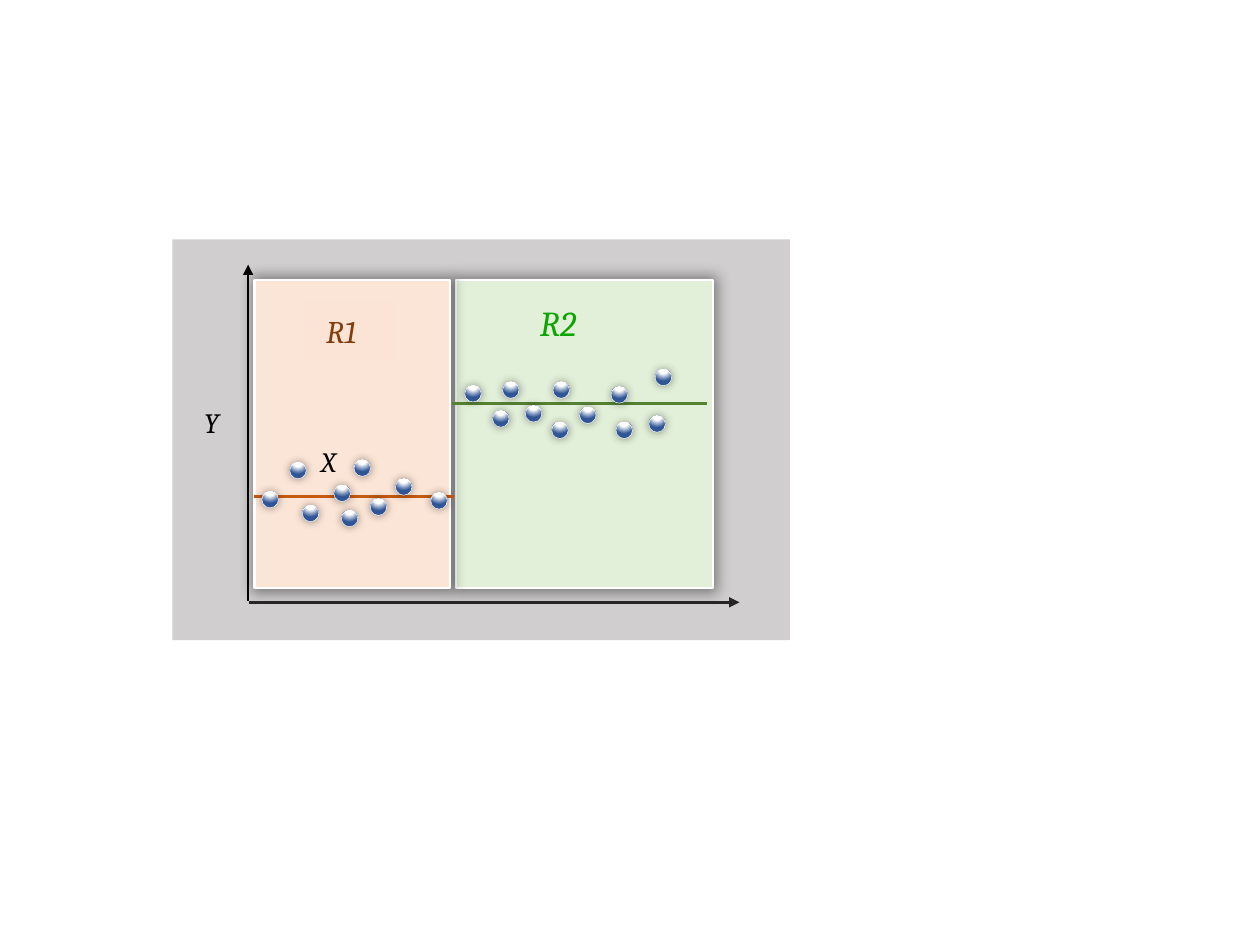
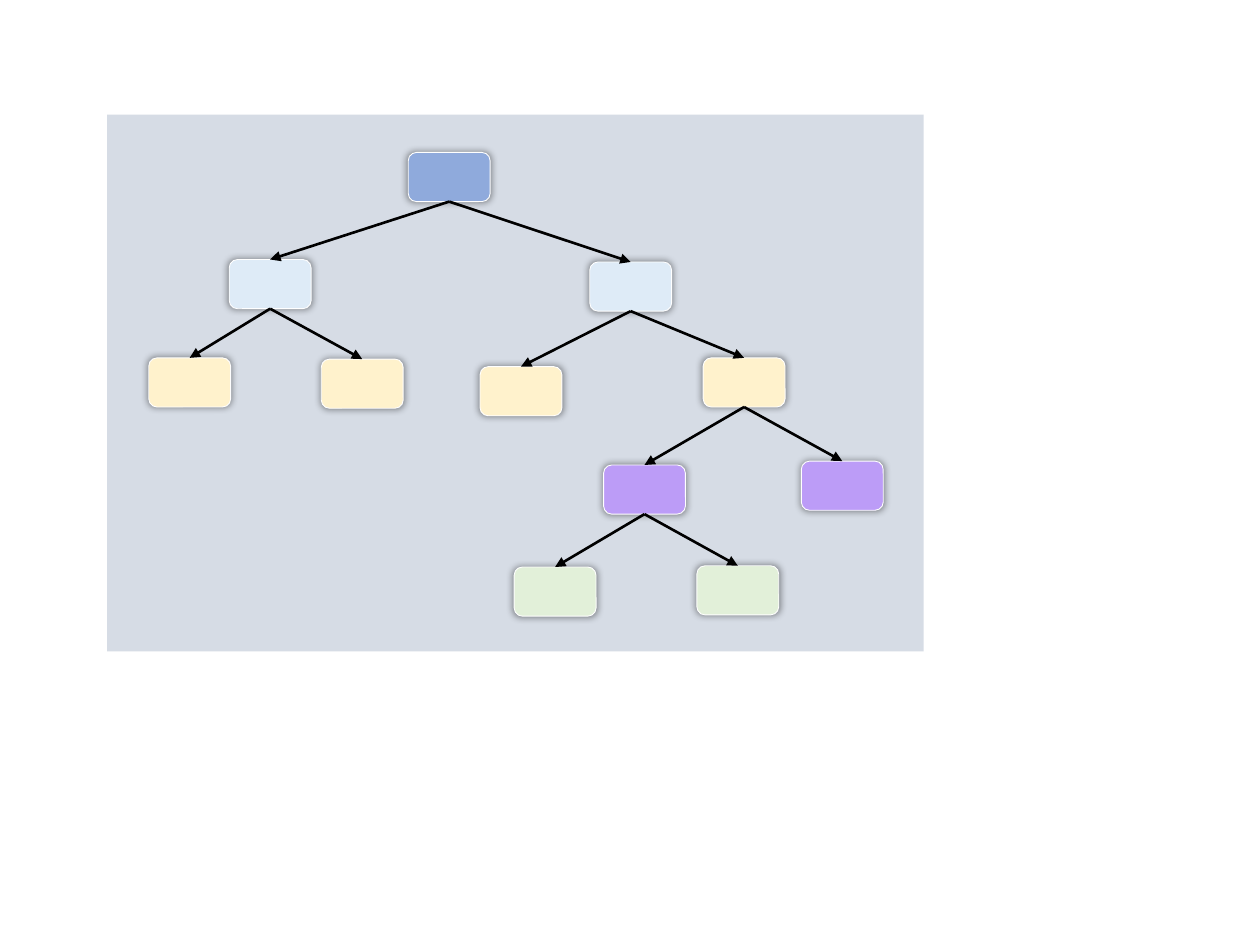
from lxml import etree
from pptx import Presentation
from pptx.dml.color import RGBColor
from pptx.enum import shapes, text
from pptx.util import Pt

WHITE = RGBColor(0xFF, 0xFF, 0xFF)
BLACK = RGBColor(0x00, 0x00, 0x00)
AXIS_GREY = RGBColor(0x26, 0x26, 0x26)
PLOT_GREY = RGBColor(0xD0, 0xCE, 0xCE)
TREE_GREY = RGBColor(0xD6, 0xDC, 0xE5)
R1_FILL = RGBColor(0xFB, 0xE5, 0xD6)
R1_LABEL = RGBColor(0xFB, 0xE4, 0xD5)
R1_LINE = RGBColor(0xC5, 0x5A, 0x11)
R1_TEXT = RGBColor(0x83, 0x3C, 0x0B)
R2_FILL = RGBColor(0xE2, 0xF0, 0xD9)
R2_LABEL = RGBColor(0xE2, 0xEF, 0xD9)
R2_LINE = RGBColor(0x54, 0x82, 0x35)
R2_TEXT = RGBColor(0x0B, 0xA5, 0x00)
DOT_BLUE = RGBColor(0x2F, 0x55, 0x97)
LEVEL_FILLS = [RGBColor(0x8F, 0xAA, 0xDC), RGBColor(0xDE, 0xEB, 0xF7),
               RGBColor(0xFF, 0xF2, 0xCC), RGBColor(0xBC, 0x9C, 0xF7), R2_FILL]

FONT = "Cambria"
NS = "http://schemas.openxmlformats.org/drawingml/2006/main"
RECT = shapes.MSO_SHAPE.RECTANGLE
OVAL = shapes.MSO_SHAPE.OVAL
ROUNDED = shapes.MSO_SHAPE.ROUNDED_RECTANGLE
BOTTOM, TOP = 2, 0

PLOT_BOX = (98.6, 136.8, 352.8, 229)
TREE_BOX = (61.2, 65.5, 466.6, 306.7)

DOT = 9.4
R1_DOTS = [(67, 127.4), (92.2, 140.4), (74.2, 151.9), (147.6, 144.7), (127.4, 136.8),
           (113, 148.3), (51.1, 144), (96.5, 154.8), (103.7, 126)]
R2_DOTS = [(167, 83.5), (201.6, 95), (188.6, 81.4), (182.9, 97.9), (232.6, 95.8),
           (272.2, 100.8), (217.4, 81.4), (253.4, 104.4), (250.6, 84.2),
           (275.8, 74.2), (216.7, 104.4)]

NODE_W, NODE_H = 46.8, 28.1
# node: (parent, level, left, top)
NODES = {
    "root": (None, 0, 172.1, 21.6),
    "left": ("root", 1, 69.8, 82.8),
    "right": ("root", 1, 275.8, 84.2),
    "left.left": ("left", 2, 23.8, 139),
    "left.right": ("left", 2, 122.4, 139.7),
    "right.left": ("right", 2, 213.1, 144),
    "right.right": ("right", 2, 340.6, 139),
    "inner": ("right.right", 3, 283.7, 200.2),
    "outer": ("right.right", 3, 396.7, 198),
    "inner.left": ("inner", 4, 232.6, 258.5),
    "inner.right": ("inner", 4, 337, 257.8),
}


def add_xml(parent, xml):
    parent.append(etree.fromstring(xml))


def add_shadow(sp, blur, scale=100):
    """Soft black glow on every side; blur in points, scale in percent."""
    for old in sp._element.spPr.findall(f"{{{NS}}}effectLst"):
        sp._element.spPr.remove(old)
    add_xml(sp._element.spPr,
            f'<a:effectLst xmlns:a="{NS}"><a:outerShdw blurRad="{Pt(blur)}" '
            f'sx="{scale * 1000}" sy="{scale * 1000}" algn="ctr" rotWithShape="0">'
            '<a:srgbClr val="000000"><a:alpha val="40000"/></a:srgbClr>'
            '</a:outerShdw></a:effectLst>')


def add_box(s, kind, x, y, w, h, fill=None, line=0):
    """Preset shape without shadow; line is the width of a white outline."""
    sp = s.shapes.add_shape(kind, Pt(x), Pt(y), Pt(w), Pt(h))
    sp.shadow.inherit = False
    if fill is not None:
        sp.fill.solid()
        sp.fill.fore_color.rgb = fill
    if line:
        sp.line.color.rgb = WHITE
        sp.line.width = Pt(line)
    else:
        sp.line.fill.background()
    return sp


def add_line(s, x1, y1, x2, y2, color=BLACK, arrow=True):
    c = s.shapes.add_connector(shapes.MSO_CONNECTOR.STRAIGHT,
                               Pt(x1), Pt(y1), Pt(x2), Pt(y2))
    c.line.color.rgb = color
    c.line.width = Pt(1.5)
    if arrow:
        add_xml(c.line._get_or_add_ln(), f'<a:tailEnd xmlns:a="{NS}" type="triangle"/>')
    add_xml(c._element.spPr, f'<a:effectLst xmlns:a="{NS}"/>')
    return c


def write(sp, label, size=16, color=BLACK):
    """Centred italic text, nudged left by the right inset."""
    tf = sp.text_frame
    tf.word_wrap = True
    tf.vertical_anchor = text.MSO_ANCHOR.MIDDLE
    tf.margin_left = tf.margin_top = tf.margin_bottom = 0
    tf.margin_right = Pt(8)
    p = tf.paragraphs[0]
    p.alignment = text.PP_ALIGN.CENTER
    r = p.add_run()
    r.text = label
    r.font.name, r.font.size, r.font.italic = FONT, Pt(size), True
    r.font.color.rgb = color


def add_dot(s, x, y):
    sp = add_box(s, OVAL, x, y, DOT, DOT, line=0.25)
    stops = "".join(f'<a:gs pos="{pos * 1000}"><a:srgbClr val="{color}"/></a:gs>'
                    for pos, color in ((0, WHITE), (38, WHITE), (100, DOT_BLUE)))
    gradient = etree.fromstring(
        f'<a:gradFill xmlns:a="{NS}" rotWithShape="0"><a:gsLst>{stops}</a:gsLst>'
        '<a:path path="circle"><a:fillToRect l="50000" t="-80000" r="50000" b="180000"/>'
        '</a:path></a:gradFill>')
    sp._element.spPr.find(f"{{{NS}}}prstGeom").addnext(gradient)
    add_shadow(sp, 5)


def add_region_plot(s, box):
    """Two regions of scattered points, each with its mean line."""
    left, top, w, h = box
    add_box(s, RECT, left, top, w, h, PLOT_GREY)
    for x, width, fill in ((162, 146.9, R2_FILL), (46.8, 111.6, R1_FILL)):
        region = add_box(s, RECT, left + x, top + 23, width, 176.4, fill, 1.25)
        add_shadow(region, 8, 102)
    for x1, x2, y, color in ((46.8, 160.6, 146.9, R1_LINE), (159.8, 305.3, 93.6, R2_LINE)):
        add_line(s, left + x1, top + y, left + x2, top + y, color, arrow=False)
    add_line(s, left + 43.9, top + 207.4, left + 324, top + 207.4, AXIS_GREY)
    add_line(s, left + 43.2, top + 206.6, left + 43.2, top + 14.4)
    for x, y in R1_DOTS + R2_DOTS:
        add_dot(s, left + x, top + y)
    for label, x, y, fill, size, color in (("R1", 74.9, 36, R1_LABEL, 18, R1_TEXT),
                                           ("R2", 198.7, 31, R2_LABEL, 20, R2_TEXT)):
        write(add_box(s, RECT, left + x, top + y, 51.1, 33.1, fill), label, size, color)
    for label, x, y, width in (("X", 51.8, 113.8, 82.8), ("Y", 6.5, 91.4, 39.6)):
        write(s.shapes.add_textbox(Pt(left + x), Pt(top + y), Pt(width), Pt(26.6)), label)


def add_tree(s, box):
    left, top, w, h = box
    add_box(s, RECT, left, top, w, h, TREE_GREY)
    nodes = {}
    for name, (_, level, x, y) in NODES.items():
        nodes[name] = add_box(s, ROUNDED, left + x, top + y, NODE_W, NODE_H,
                              LEVEL_FILLS[level], 0.5)
        add_shadow(nodes[name], 4, 102)
    for name, (parent, *_) in NODES.items():
        if parent:
            c = add_line(s, left, top, left, top)
            c.begin_connect(nodes[parent], BOTTOM)
            c.end_connect(nodes[name], TOP)


def main():
    prs = Presentation()
    prs.slide_width, prs.slide_height = Pt(720), Pt(540)
    blank = prs.slide_layouts[6]
    add_region_plot(prs.slides.add_slide(blank), PLOT_BOX)
    add_tree(prs.slides.add_slide(blank), TREE_BOX)
    prs.save("out.pptx")


if __name__ == "__main__":
    main()
